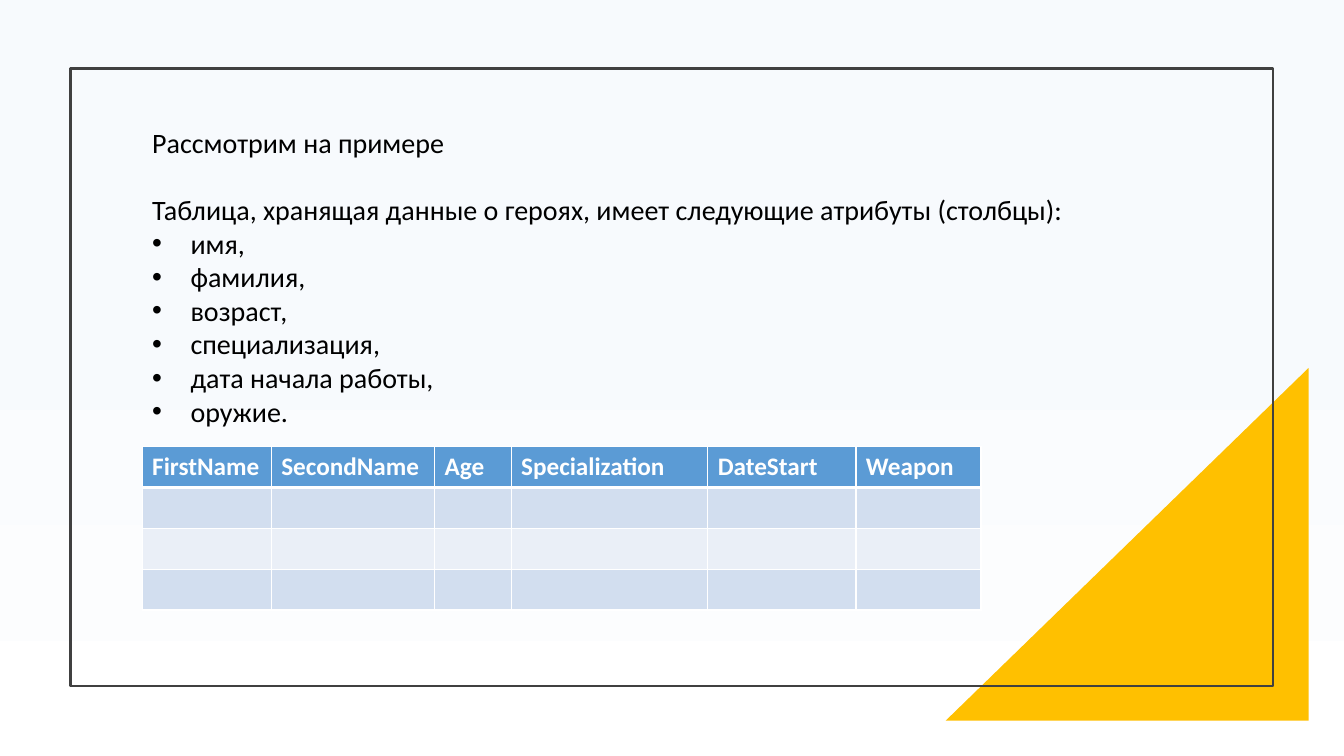
from lxml.etree import SubElement
from pptx import Presentation
from pptx.dml.color import RGBColor
from pptx.enum.shapes import MSO_SHAPE
from pptx.enum.text import MSO_ANCHOR, MSO_AUTO_SIZE, PP_ALIGN
from pptx.oxml import parse_xml
from pptx.oxml.ns import nsdecls, qn
from pptx.util import Inches, Pt

BLACK = RGBColor(0x00, 0x00, 0x00)
WHITE = RGBColor(0xFF, 0xFF, 0xFF)
PALE_BLUE = RGBColor(0xF7, 0xFA, 0xFD)
GOLD = RGBColor(0xFF, 0xC0, 0x00)
DARK_GRAY = RGBColor(0x40, 0x40, 0x40)
HEADER_BLUE = RGBColor(0x5B, 0x9B, 0xD5)
BAND_COLORS = (RGBColor(0xEA, 0xEF, 0xF7), RGBColor(0xD2, 0xDE, 0xEF))

ATTRIBUTES = ["имя,", "фамилия,", "возраст,", "специализация,",
              "дата начала работы,", "оружие."]
COLUMNS = {"FirstName": 1.28, "SecondName": 1.62, "Age": 0.76,
           "Specialization": 1.95, "DateStart": 1.47, "Weapon": 1.24}
EMPTY_ROWS = 3


def write_text(paragraph, text, size=20, color=BLACK, bold=False,
               align=PP_ALIGN.JUSTIFY, bullet=False):
    properties = paragraph._p.get_or_add_pPr()
    indent = Inches(0.38) if bullet else 0
    properties.set("marL", str(indent))
    properties.set("indent", str(-indent))
    paragraph.alignment = align
    paragraph.space_before = Pt(0)
    if bullet:
        SubElement(properties, qn("a:buFont")).set("typeface", "Arial")
        SubElement(properties, qn("a:buChar")).set("char", "•")
    else:
        SubElement(properties, qn("a:buNone"))
    run = paragraph.add_run()
    run.text = text
    run.font.name = "Calibri"
    run.font.size = Pt(size)
    run.font.bold = bold
    run.font.color.rgb = color


class SlideBuilder:
    def __init__(self, presentation):
        self.slide = presentation.slides.add_slide(presentation.slide_layouts[1])

    def background(self, top_color, bottom_color, start):
        fill = self.slide.background.fill
        fill.gradient()
        fill.gradient_angle = 270
        stops = zip(fill.gradient_stops, (top_color, bottom_color), (start, 1))
        for stop, color, position in stops:
            stop.color.rgb = color
            stop.position = position

    def shape(self, kind, left, top, width, height, fill=None, line=None, flip=False):
        shape = self.slide.shapes.add_shape(
            kind, Inches(left), Inches(top), Inches(width), Inches(height))
        shape.shadow.inherit = False
        if fill is None:
            shape.fill.background()
        else:
            shape.fill.solid()
            shape.fill.fore_color.rgb = fill
        if line is None:
            shape.line.fill.background()
        else:
            shape.line.color.rgb = line
            shape.line.width = Pt(1.5)
        if flip:
            shape.element.spPr.get_or_add_xfrm().set("flipH", "1")

    def placeholder(self, index, left, top, width, height):
        shape = self.slide.placeholders[index]
        shape.left, shape.top = Inches(left), Inches(top)
        shape.width, shape.height = Inches(width), Inches(height)
        frame = shape.text_frame
        frame.word_wrap = True
        frame.auto_size = MSO_AUTO_SIZE.NONE
        frame.vertical_anchor = MSO_ANCHOR.TOP
        return frame

    def cell_borders(self, cell, top, bottom):
        properties = cell._tc.get_or_add_tcPr()
        widths = {"lnL": 1, "lnR": 1, "lnT": top, "lnB": bottom}
        for position, (side, width) in enumerate(widths.items()):
            properties.insert(position, parse_xml(
                f'<a:{side} {nsdecls("a")} w="{Pt(width)}"><a:solidFill>'
                f'<a:srgbClr val="{WHITE}"/></a:solidFill></a:{side}>'))

    def table(self, columns, empty_rows, left, top, width, height):
        table = self.slide.shapes.add_table(
            empty_rows + 1, len(columns), Inches(left), Inches(top),
            Inches(width), Inches(height)).table
        for index, (name, column_width) in enumerate(columns.items()):
            table.columns[index].width = Inches(column_width)
            write_text(table.cell(0, index).text_frame.paragraphs[0], name,
                       size=18, color=WHITE, bold=True, align=PP_ALIGN.LEFT)
        for row_index, row in enumerate(table.rows):
            color = BAND_COLORS[row_index % 2] if row_index else HEADER_BLUE
            for cell in row.cells:
                cell.fill.solid()
                cell.fill.fore_color.rgb = color
                self.cell_borders(cell, top=3 if row_index == 1 else 1,
                                  bottom=3 if row_index == 0 else 1)


def main():
    presentation = Presentation()
    presentation.slide_width = Inches(13.33)
    presentation.slide_height = Inches(7.5)
    builder = SlideBuilder(presentation)

    # Backdrop, corner triangle and frame
    builder.background(PALE_BLUE, WHITE, start=0.39)
    builder.shape(MSO_SHAPE.RIGHT_TRIANGLE, 9.38, 3.65, 3.6, 3.5, fill=GOLD, flip=True)
    builder.shape(MSO_SHAPE.RECTANGLE, 0.7, 0.68, 11.93, 6.13, line=DARK_GRAY)

    # Title
    title = builder.placeholder(0, 1.41, 1.19, 11.15, 0.44)
    write_text(title.paragraphs[0], "Рассмотрим на примере")

    # Introduction and attribute list
    body = builder.placeholder(1, 1.41, 1.86, 11.15, 2.46)
    write_text(body.paragraphs[0],
               "Таблица, хранящая данные о героях, имеет следующие атрибуты (столбцы):")
    for attribute in ATTRIBUTES:
        write_text(body.add_paragraph(), attribute, bullet=True)

    # Table of heroes
    builder.table(COLUMNS, EMPTY_ROWS, 1.41, 4.43, 8.32, 1.62)

    presentation.save("out.pptx")


if __name__ == "__main__":
    main()
